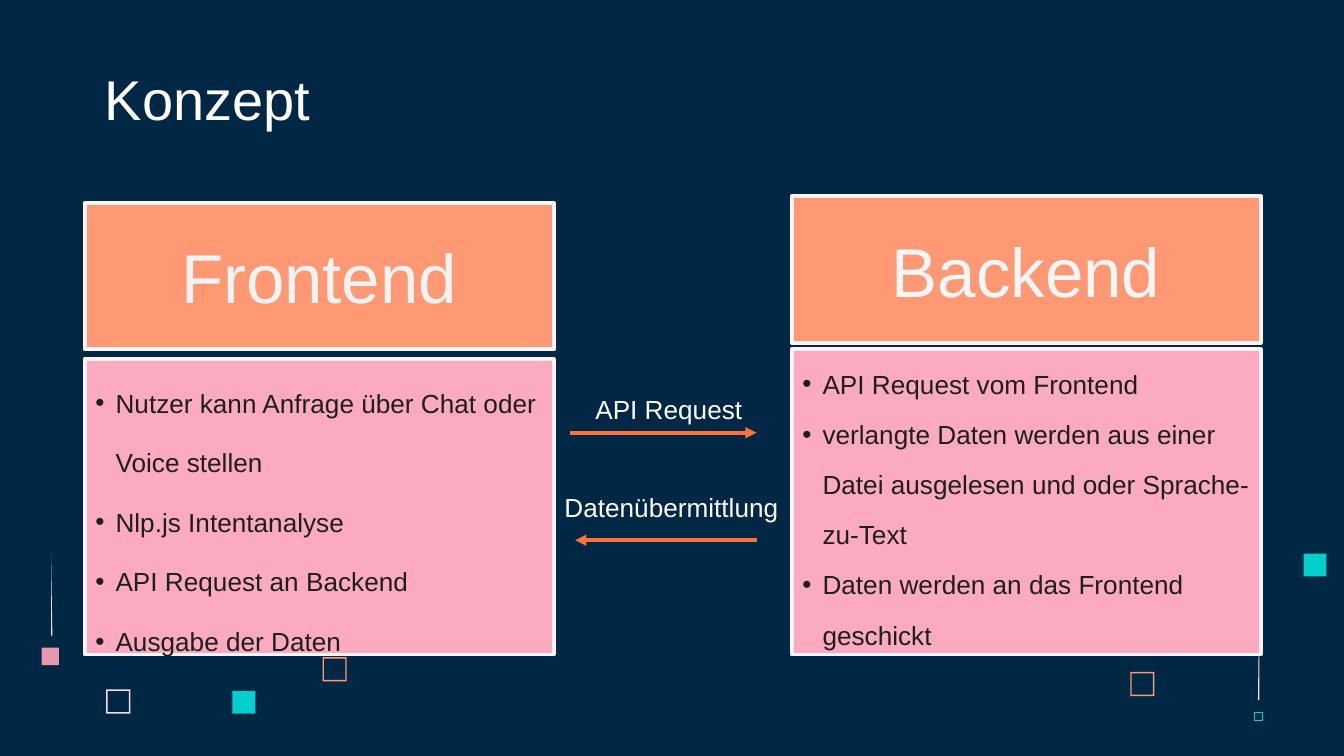
from lxml import etree
from pptx import Presentation
from pptx.dml.color import RGBColor
from pptx.enum.shapes import MSO_CONNECTOR, MSO_SHAPE
from pptx.enum.text import MSO_ANCHOR, MSO_AUTO_SIZE, PP_ALIGN
from pptx.oxml.ns import qn
from pptx.util import Pt

PX = 9144
WIDTH, TITLE_ONLY = 1000 * PX, 5
RECT, FRAME = MSO_SHAPE.RECTANGLE, MSO_SHAPE.FRAME
STRAIGHT = MSO_CONNECTOR.STRAIGHT
TOP, MIDDLE, BOTTOM = MSO_ANCHOR.TOP, MSO_ANCHOR.MIDDLE, MSO_ANCHOR.BOTTOM
LEFT, CENTER = PP_ALIGN.LEFT, PP_ALIGN.CENTER
FIXED, GROW = MSO_AUTO_SIZE.NONE, MSO_AUTO_SIZE.SHAPE_TO_FIT_TEXT

NAVY = RGBColor(0x00, 0x28, 0x45)
WHITE = RGBColor(0xFF, 0xFF, 0xFF)
PEARL = RGBColor(0xF6, 0xF6, 0xF6)
MIST = RGBColor(0xF3, 0xF3, 0xF3)
INK = RGBColor(0x1E, 0x1E, 0x1E)
PEACH = RGBColor(0xFF, 0x99, 0x73)
ORANGE = RGBColor(0xFC, 0x72, 0x3F)
PINK = RGBColor(0xFB, 0xAA, 0xBF)
ROSE = RGBColor(0xE8, 0x98, 0xAC)
BLUSH = RGBColor(0xFF, 0xD6, 0xE1)
EDGE = RGBColor(0xFE, 0xF4, 0xF7)
TEAL = RGBColor(0x00, 0xCF, 0xCC)


class Deck:
    """Holds the style and the current slide, and draws each kind of element."""

    font = "Arial"
    size = 14
    stroke = 2

    def __init__(self):
        self.show = Presentation()
        self.show.slide_width = WIDTH
        self.show.slide_height = WIDTH * 9 // 16
        self.slide = self.show.slides.add_slide(self.show.slide_layouts[TITLE_ONLY])
        self.shapes = self.slide.shapes
        fill = self.slide.background.fill
        fill.solid()
        fill.fore_color.rgb = NAVY

    def place(self, *box):
        return [v * PX for v in box]

    def paint(self, shape, fill=None, line=None, width=stroke):
        shape.shadow.inherit = False
        if fill is None:
            shape.fill.background()
        else:
            shape.fill.solid()
            shape.fill.fore_color.rgb = fill
        if line is None:
            shape.line.fill.background()
        else:
            shape.line.color.rgb = line
            shape.line.width = Pt(width)
        return shape

    def frame(self, shape, anchor=TOP, inset=(0, 0, 0, 0)):
        text = shape.text_frame
        text.vertical_anchor = anchor
        text.margin_left, text.margin_top, text.margin_right, text.margin_bottom = self.place(*inset)
        text.word_wrap = True
        text.auto_size = FIXED
        return text

    def letter(self, para, words, color, size=size, align=LEFT):
        para.text = words
        para.alignment = align
        font = para.font
        font.name, font.size = self.font, Pt(size)
        font.color.rgb = color

    def title(self, words, box):
        title = self.shapes.title
        title.left, title.top, title.width, title.height = self.place(*box)
        text = self.frame(title, BOTTOM, (10, 10, 10, 10))
        self.letter(text.paragraphs[0], words, WHITE, 30)

    def block(self, box, fill=None, line=None, width=stroke):
        return self.paint(self.shapes.add_shape(RECT, *self.place(*box)), fill, line, width)

    def ring(self, left, top, color):
        shape = self.shapes.add_shape(FRAME, *self.place(left, top, 18, 18))
        shape.adjustments[0] = 0.06
        self.paint(shape, color)

    def spike(self, start, *points):
        build = self.shapes.build_freeform(*start, scale=PX)
        build.add_line_segments(points)
        self.paint(build.convert_to_shape(), BLUSH)

    def header(self, words, box, color):
        text = self.frame(self.block(box, PEACH, EDGE), MIDDLE)
        self.letter(text.paragraphs[0], words, color, 37, CENTER)

    def bullets(self, items, box, space):
        text = self.frame(self.block(box, PINK, EDGE), inset=(8, 0, 0, 0))
        for i, item in enumerate(items):
            para = text.add_paragraph() if i else text.paragraphs[0]
            props = para._p.get_or_add_pPr()
            props.set("marL", str(15 * PX))
            props.set("indent", str(-15 * PX))
            tint = etree.SubElement(props, qn("a:buClr"))
            etree.SubElement(tint, qn("a:srgbClr"), val=str(INK))
            etree.SubElement(props, qn("a:buFont"), typeface=self.font)
            etree.SubElement(props, qn("a:buChar"), char="•")
            para.line_spacing = space
            self.letter(para, item, INK)

    def arrow(self, start, end, y):
        line = self.shapes.add_connector(STRAIGHT, *self.place(start, y, end, y))
        line.line.color.rgb = ORANGE
        line.line.width = Pt(self.stroke)
        props = line._element.spPr
        etree.SubElement(props.find(qn("a:ln")), qn("a:tailEnd"), type="triangle")
        etree.SubElement(props, qn("a:effectLst"))

    def label(self, words, box):
        text = self.frame(self.shapes.add_textbox(*self.place(*box)))
        text.word_wrap = False
        text.auto_size = GROW
        self.letter(text.paragraphs[0], words, WHITE)


def main():
    deck = Deck()
    for left, top, color in ((79, 513, BLUSH), (240, 489, PEACH), (841, 500, PEACH)):
        deck.ring(left, top, color)
    for left, top, side, color in ((173, 514, 17, TEAL), (31, 482, 13, ROSE), (970, 412, 17, TEAL)):
        deck.block((left, top, side, side), color)
    deck.block((933, 530, 6, 6), line=TEAL, width=0.23)
    deck.spike((38, 412), (38, 473), (39, 473))
    deck.spike((937, 445), (936, 521), (937, 521))

    deck.title("Konzept", (68, 45, 294, 63))
    deck.header("Backend", (589, 146, 349, 109), PEARL)
    deck.header("Frontend", (63, 151, 349, 109), MIST)
    deck.bullets((
        "API Request vom Frontend",
        "verlangte Daten werden aus einer Datei ausgelesen und oder Sprache-zu-Text",
        "Daten werden an das Frontend geschickt",
    ), (589, 260, 349, 227), 1.6)
    deck.bullets((
        "Nutzer kann Anfrage über Chat oder Voice stellen",
        "Nlp.js Intentanalyse",
        "API Request an Backend",
        "Ausgabe der Daten",
    ), (63, 267, 349, 220), 1.9)

    deck.arrow(424, 563, 322)
    deck.arrow(563, 428, 402)
    deck.label("Datenübermittlung", (420, 366, 160, 24))
    deck.label("API Request", (443, 293, 110, 24))
    deck.show.save("out.pptx")


if __name__ == "__main__":
    main()
